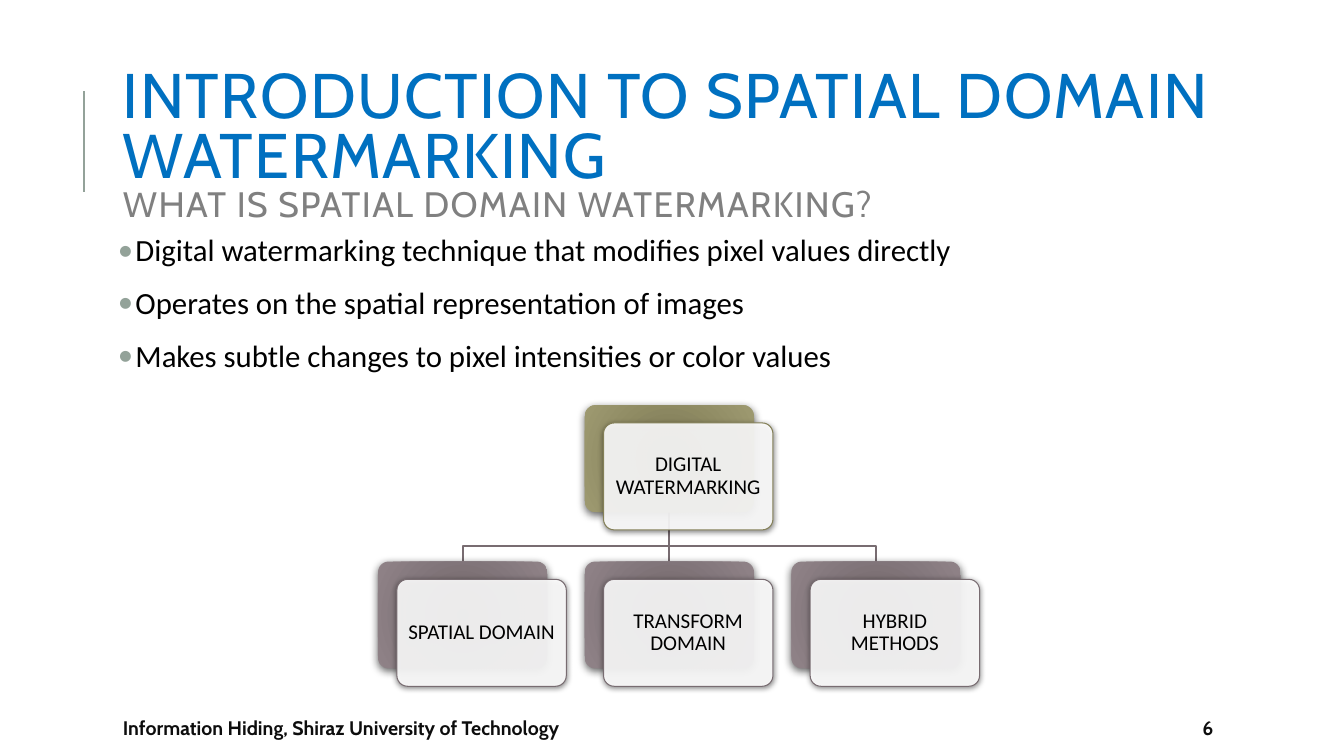
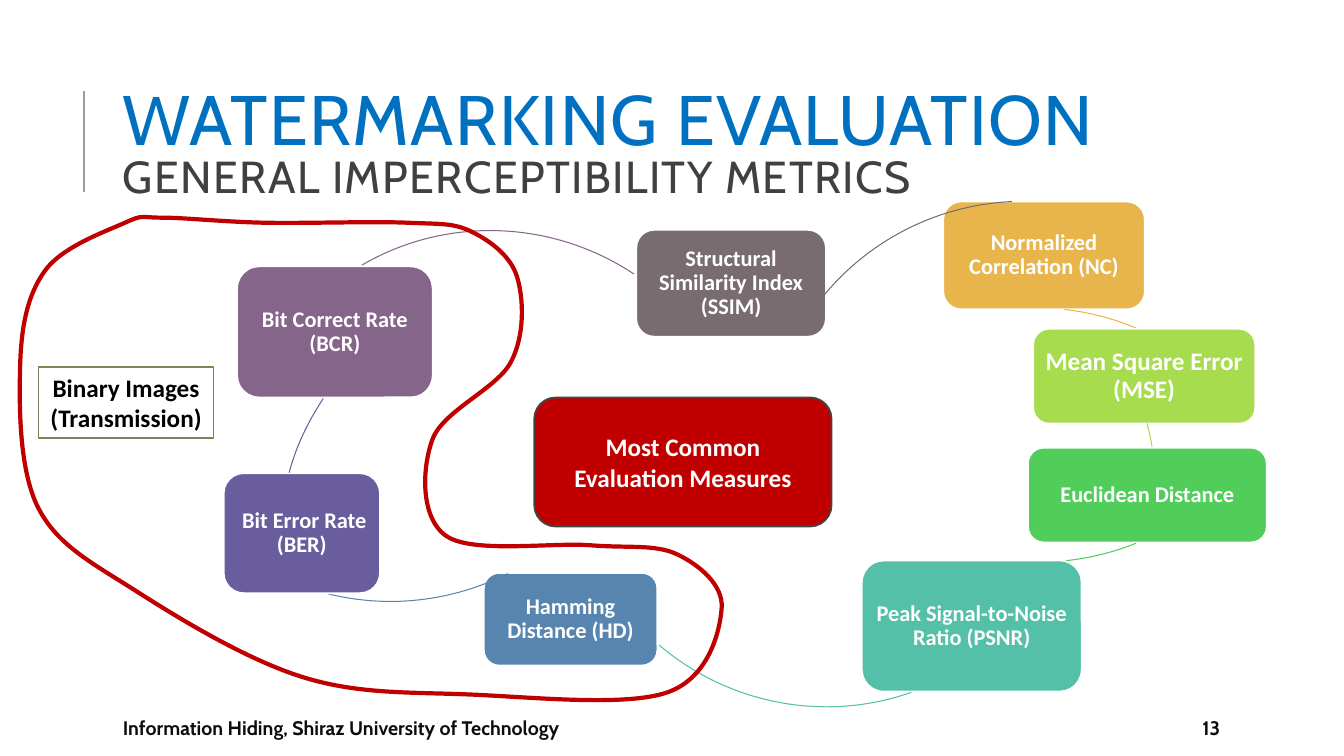
"""Build two slides on spatial domain watermarking and its evaluation metrics."""
from lxml.etree import SubElement
from pptx import Presentation
from pptx.dml.color import RGBColor
from pptx.enum.shapes import MSO_CONNECTOR, MSO_SHAPE
from pptx.enum.text import MSO_ANCHOR, MSO_AUTO_SIZE, PP_ALIGN
from pptx.oxml.ns import qn
from pptx.util import Pt

COLORS = {
    "title": "0070C0", "grey": "808080", "dark": "404040", "rule": "93A299",
    "footer": "0D0D0D", "black": "000000", "white": "FFFFFF", "red": "C00000",
    "outline": "404743", "olive": "848058", "olive_in": "7B7752", "olive_out": "9E9A71",
    "mauve": "786C71", "mauve_in": "706569", "mauve_out": "908388",
    "amber": "E8B54D", "lime": "A7DC4E", "green": "50CE59", "teal": "53C0A7",
    "blue": "5785B0", "indigo": "695D9E", "purple": "86658A",
}
HEAD, BODY = "Cabin", "Calibri"
FOOTER = "Information Hiding, Shiraz University of Technology"
RING = 368

METRICS = [
    ("Normalized Correlation (NC)", "amber", 16, (513.8, 0, 144, 77), (395.1, 75.6),
     [(600.3, 77), (618.3, 79.2), (635.6, 83.5), (652.2, 90.7)]),
    ("Mean Square Error (MSE)", "lime", 18, (578, 90.9, 158.6, 67.7), (297.9, 25.2),
     [(659.4, 158.4), (660.8, 164.2), (662.2, 169.9), (663, 175.7)]),
    ("Euclidean Distance", "green", 16, (574.3, 175.8, 170.6, 67.7), (398, -110.9),
     [(651.4, 244.1), (622.6, 255.6), (591.7, 259.9), (560.7, 256.3)]),
    ("Peak Signal-to-Noise Ratio (PSNR)", "teal", 16, (455.6, 256.4, 157, 93.6), (246.1, -7.2),
     [(490.9, 350.6), (429.7, 372.2), (360.6, 359.3), (310.9, 316.8)]),
    ("Hamming Distance (HD)", "blue", 16, (185.6, 265.2, 124, 66.2), (-65, -82.8),
     [(202.9, 265.7), (162.6, 285.8), (117.2, 290.9), (74, 280.1)]),
    (" Bit Error Rate (BER)", "indigo", 16, (-0.2, 194, 111.6, 85.7), (39.4, 60.5),
     [(46.6, 193.7), (51.7, 174.2), (60.3, 157), (71.1, 140.4)]),
    ("Bit Correct Rate (BCR)", "purple", 16, (9.4, 46.3, 139.7, 93.6), (6.3, 20.9),
     [(98.5, 45.4), (159, 10.1), (234.6, 13), (292.9, 51.8)]),
    ("Structural Similarity Index (SSIM)", "mauve", 16, (294.5, 20.2, 135.4, 76.3), (386.5, 0),
     [(409.5, 95), (440.5, 38.9), (498.8, 2.9), (562.9, 0)]),
]
LOOP = [
    (75.3, 4.1), (18.4, 38), (0.4, 105.6), (13.4, 207.9), (83.9, 267.6), (202.7, 328.8),
    (322.2, 341.1), (462.6, 339.6), (501.5, 279.2), (469.8, 241), (407.9, 234.5),
    (305, 228), (294.9, 158.9), (351, 103.5), (355.4, 43), (323, 10.6), (276.9, 4.1),
    (174.6, 4.1), (101.9, 0.5),
]


def rgb(name):
    return RGBColor.from_string(COLORS[name])


def write(p, text, size=16, color="black", font=BODY, bold=False, spc=None):
    r = p.add_run()
    r.text = text
    r.font.size = Pt(size)
    r.font.name = font
    r.font.bold = bold
    r.font.color.rgb = rgb(color)
    if spc:
        r.font._element.set("spc", str(spc * 100))


def frame(sp, inset=None, anchor=MSO_ANCHOR.MIDDLE):
    tf = sp.text_frame
    tf.word_wrap = True
    tf.auto_size = MSO_AUTO_SIZE.NONE
    tf.vertical_anchor = anchor
    if inset is not None:
        tf.margin_left = tf.margin_right = tf.margin_top = tf.margin_bottom = Pt(inset)
    return tf


def textbox(s, x, y, w, h, **kw):
    return frame(s.shapes.add_textbox(Pt(x), Pt(y), Pt(w), Pt(h)), **kw)


def outline(sp, color, width):
    sp.line.color.rgb = rgb(color)
    sp.line.width = Pt(width)


def panel(s, x, y, w, h, fill, line=None, width=1.25, kind=MSO_SHAPE.ROUNDED_RECTANGLE):
    sp = s.shapes.add_shape(kind, Pt(x), Pt(y), Pt(w), Pt(h))
    sp.shadow.inherit = False
    sp.fill.solid()
    sp.fill.fore_color.rgb = rgb(fill)
    if line:
        outline(sp, line, width)
    else:
        sp.line.fill.background()
    return sp


def label(sp, lines, inset=None, spacing=None, align=PP_ALIGN.CENTER, **fmt):
    tf = frame(sp, inset)
    for i, text in enumerate(lines):
        p = tf.add_paragraph() if i else tf.paragraphs[0]
        p.alignment = align
        p.line_spacing = spacing
        write(p, text, **fmt)


def connector(s, x1, y1, x2, y2, color, width):
    ln = s.shapes.add_connector(MSO_CONNECTOR.STRAIGHT, Pt(x1), Pt(y1), Pt(x2), Pt(y2))
    outline(ln, color, width)
    SubElement(ln._element.spPr, qn("a:effectLst"))
    return ln


def polyline(s, x, y, points, color, width):
    pts = [(Pt(x + px), Pt(y + py)) for px, py in points]
    fb = s.shapes.build_freeform(*pts[0])
    fb.add_line_segments(pts[1:], close=False)
    sp = fb.convert_to_shape()
    sp.shadow.inherit = False
    sp.fill.background()
    outline(sp, color, width)
    return sp


def curve(s, x, y, box, start, segments, color, width, close=False):
    bx, by, w, h = box
    sp = polyline(s, x, y, [(bx, by), (bx + w, by + h)], color, width)
    track = next(sp._element.iter(qn("a:path")))
    for child in list(track):
        track.remove(child)
    for tag, points in [("a:moveTo", [start])] + [("a:cubicBezTo", seg) for seg in segments]:
        step = SubElement(track, qn(tag))
        for px, py in points:
            SubElement(step, qn("a:pt"), x=str(Pt(px - bx)), y=str(Pt(py - by)))
    if close:
        SubElement(track, qn("a:close"))


def smooth_loop(knots):
    n, segments = len(knots), []
    for i in range(n):
        p0, p1, p2, p3 = (knots[(i + k) % n] for k in (-1, 0, 1, 2))
        c1 = [p1[k] + (p2[k] - p0[k]) / 6 for k in (0, 1)]
        c2 = [p2[k] - (p3[k] - p1[k]) / 6 for k in (0, 1)]
        segments.append([c1, c2, p2])
    return segments


def add_shadow(sp, alpha, blur, dist):
    effects = sp._element.spPr.find(qn("a:effectLst"))
    shadow = SubElement(effects, qn("a:outerShdw"), blurRad=str(Pt(blur)), dist=str(Pt(dist)),
                        dir="5400000", rotWithShape="0")
    clr = SubElement(shadow, qn("a:srgbClr"), val=COLORS["black"])
    SubElement(clr, qn("a:alpha"), val=str(alpha * 1000))


def radial(sp, inner, outer):
    sp.fill.gradient()
    for stop, position, color in zip(sp.fill.gradient_stops, (0, 1), (inner, outer)):
        stop.position = position
        stop.color.rgb = rgb(color)
    grad = sp._element.spPr.find(qn("a:gradFill"))
    grad.remove(grad.find(qn("a:lin")))
    circle = SubElement(grad, qn("a:path"), path="circle")
    SubElement(circle, qn("a:fillToRect"), l="100000", t="100000", r="100000", b="100000")


def card(s, x, y, w, h, text, hue):
    back = panel(s, x, y, w, h, hue)
    radial(back, hue + "_in", hue + "_out")
    add_shadow(back, 60, 6, 2)
    front = panel(s, x + 13.5, y + 12.7, w, h, "white", hue, 0.75)
    clr = front._element.spPr.find(qn("a:solidFill"))[0]
    SubElement(clr, qn("a:alpha"), val="90000")
    add_shadow(front, 50, 4, 1)
    for sp in (back, front):
        sp.adjustments[0] = 0.1
    label(front, [text], inset=4, spacing=0.9, size=15)
    return back


def tree(s, x, y, root, children):
    w, h, step, drop, bend = 121, 76.4, 147.6, 111.7, 100.4
    mid = step + w / 2
    for cx in (w / 2, 2 * step + w / 2):
        polyline(s, x, y, [(mid, h), (mid, bend), (cx, bend), (cx, drop)], "mauve", 1.25)
    top = card(s, x + step, y, w, h, root, "olive")
    cards = [card(s, x + i * step, y + drop, w, h, text, "mauve")
             for i, text in enumerate(children)]
    trunk = connector(s, x + mid, y + h, x + mid, y + drop, "mauve", 1.25)
    trunk.begin_connect(top, 2)
    trunk.end_connect(cards[1], 0)
    s.shapes.element.insert(2, trunk._element)


def cycle(s, x, y):
    for text, color, size, (bx, by, w, h), ring, arc in METRICS:
        sp = panel(s, x + bx, y + by, w, h, color, "white")
        label(sp, [text], inset=5, spacing=0.9, size=size, color="white", bold=True)
        curve(s, x, y, (*ring, RING, RING), arc[0], [arc[1:]], color, 0.75)


def bullets(s, x, y, w, h, items):
    tf = textbox(s, x, y, w, h, inset=3.6, anchor=MSO_ANCHOR.TOP)
    for i, text in enumerate(items):
        p = tf.add_paragraph() if i else tf.paragraphs[0]
        pPr = p._p.get_or_add_pPr()
        pPr.set("marL", str(Pt(12.6)))
        pPr.set("indent", str(Pt(-12.6)))
        clr = SubElement(pPr, qn("a:buClr"))
        SubElement(clr, qn("a:srgbClr"), val=COLORS["rule"])
        SubElement(pPr, qn("a:buFont"), typeface=BODY)
        SubElement(pPr, qn("a:buChar"), char="•")
        p.line_spacing = 0.9
        p.space_before = Pt(12 if i else 0)
        p.space_after = Pt(2)
        write(p, text, size=22)


def base_slide(prs, number, title, subtitle, size, sub_size, sub_color):
    s = prs.slides.add_slide(prs.slide_layouts[5])
    connector(s, 60, 136.8, 60, 64.8, "rule", 1.5)
    sp = s.shapes.title
    sp.left, sp.top, sp.width, sp.height = Pt(80.6), Pt(46.1), Pt(808.6), Pt(118)
    p = frame(sp).paragraphs[0]
    p.alignment = PP_ALIGN.LEFT
    p.line_spacing = 0.8
    write(p, title, size=size, color="title", font=HEAD, spc=1)
    p.add_line_break()
    write(p, subtitle, size=sub_size, color=sub_color, font=HEAD, spc=1)
    fmt = dict(size=14, color="footer", font=HEAD, bold=True)
    band = panel(s, 80.7, 509, 808.6, 21.6, "white", kind=MSO_SHAPE.RECTANGLE)
    label(band, [FOOTER], align=PP_ALIGN.LEFT, **fmt)
    write(textbox(s, 851.8, 509, 37.4, 21.6).paragraphs[0], str(number), **fmt)
    return s


def intro_slide(prs):
    s = base_slide(prs, 6, "INTRODUCTION TO SPATIAL DOMAIN WATERMARKING",
                   "WHAT IS SPATIAL DOMAIN WATERMARKING?", 45, 25.2, "grey")
    bullets(s, 80.6, 164.3, 808.6, 316.8, [
        "Digital watermarking technique that modifies pixel values directly",
        "Operates on the spatial representation of images",
        "Makes subtle changes to pixel intensities or color values",
    ])
    tree(s, 270, 289.4, "DIGITAL WATERMARKING",
         ["SPATIAL DOMAIN", "TRANSFORM DOMAIN", "HYBRID METHODS"])


def metrics_slide(prs):
    s = base_slide(prs, 13, "WATERMARKING EVALUATION",
                   "GENERAL IMPERCEPTIBILITY METRICS", 50, 32, "dark")
    cycle(s, 160, 144)
    sp = panel(s, 381.6, 283.9, 212.4, 92.2, "red", "outline")
    label(sp, ["Most Common Evaluation Measures"], inset=12, size=18, color="white", bold=True)
    sp = panel(s, 27.6, 262.1, 125, 51, "white", "olive", kind=MSO_SHAPE.RECTANGLE)
    label(sp, ["Binary Images", "(Transmission)"], inset=3.6, size=18, bold=True)
    curve(s, 14, 155, (0, 0, 502, 345), LOOP[0], smooth_loop(LOOP), "red", 3, close=True)


def main():
    prs = Presentation()
    prs.slide_width, prs.slide_height = Pt(960), Pt(540)
    intro_slide(prs)
    metrics_slide(prs)
    prs.save("out.pptx")


if __name__ == "__main__":
    main()
